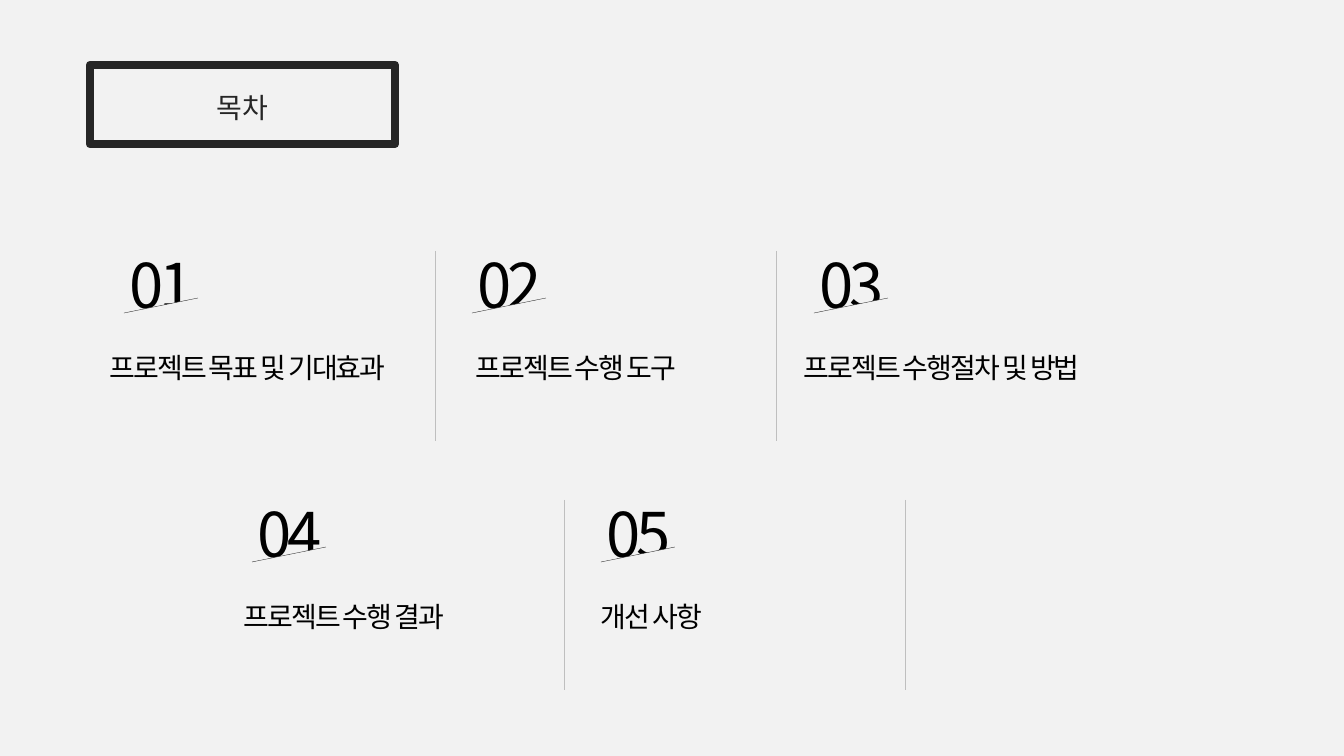
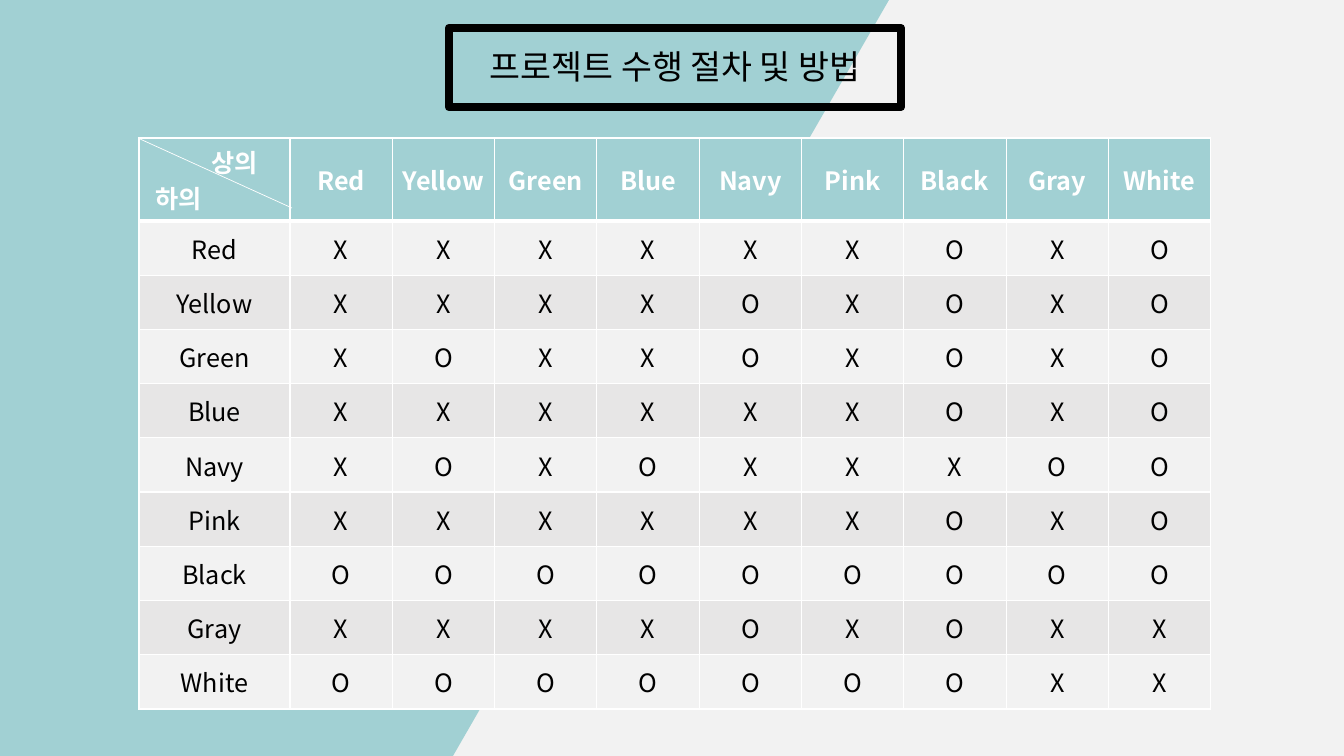
from lxml.etree import SubElement
from pptx import Presentation
from pptx.dml.color import RGBColor
from pptx.enum.shapes import MSO_CONNECTOR, MSO_SHAPE
from pptx.enum.text import MSO_ANCHOR, PP_ALIGN
from pptx.oxml.ns import qn
from pptx.util import Emu, Pt

EMU_PER_PX = 914400 / 100.8
WIDTH, HEIGHT = 1344, 756
FONT = "Noto Sans CJK KR"
PAPER, TEAL, BAND = "F2F2F2", "A1D0D3", "E7E6E6"
BLACK, CHARCOAL, SILVER, WHITE = "000000", "262626", "BFBFBF", "FFFFFF"

# Each row: top, items (left, number, label, label left, label width), dividers
CONTENTS = [
    (246, [(124, "01", "프로젝트 목표 및 기대효과", 100, 331),
           (472, "02", "프로젝트 수행 도구", 466, 245),
           (814, "03", "프로젝트 수행절차 및 방법", 794, 331)], (435, 776)),
    (495, [(252, "04", "프로젝트 수행 결과", 234, 245),
           (601, "05", "개선 사항", 591, 140)], (564, 905)),
]

MATCHES = {
    "Red": "XXXXXXOXO",
    "Yellow": "XXXXOXOXO",
    "Green": "XOXXOXOXO",
    "Blue": "XXXXXXOXO",
    "Navy": "XOXOXXXOO",
    "Pink": "XXXXXXOXO",
    "Black": "OOOOOOOOO",
    "Gray": "XXXXOXOXX",
    "White": "OOOOOOOXX",
}


def px(value):
    return Emu(round(value * EMU_PER_PX))


def rgb(color):
    return RGBColor.from_string(color)


def paint(target, color):
    target.fill.solid()
    target.fill.fore_color.rgb = rgb(color)


def write(paragraph, text, size=18, color=BLACK, bold=False,
          align=PP_ALIGN.LEFT, tracking=0, line_spacing=None, indent=0):
    """Add a run; tracking is in points, indent in px."""
    paragraph.alignment = align
    if line_spacing:
        paragraph.line_spacing = line_spacing
    if indent:
        paragraph._p.get_or_add_pPr().set("marL", str(px(indent)))
    run = paragraph.add_run()
    run.text = text
    run.font.size = Pt(size)
    run.font.bold = bold
    run.font.name = FONT
    run.font.color.rgb = rgb(color)
    properties = run._r.get_or_add_rPr()
    SubElement(properties, qn("a:ea")).set("typeface", FONT)
    if tracking:
        properties.set("spc", str(round(tracking * 100)))


def add_text(slide, left, top, width, height, text, fill=None, **text_format):
    box = slide.shapes.add_textbox(px(left), px(top), px(width), px(height))
    if fill:
        paint(box, fill)
    frame = box.text_frame
    frame.word_wrap = True
    frame.vertical_anchor = MSO_ANCHOR.MIDDLE
    frame.margin_top = frame.margin_bottom = 0
    write(frame.paragraphs[0], text, **text_format)


def add_shape(slide, kind, left, top, width, height, fill=None, line=None, weight=1):
    shape = slide.shapes.add_shape(kind, px(left), px(top), px(width), px(height))
    shape.shadow.inherit = False
    if fill:
        paint(shape, fill)
    else:
        shape.fill.background()
    if line:
        shape.line.color.rgb = rgb(line)
        shape.line.width = Pt(weight)
    else:
        shape.line.fill.background()
    return shape


def add_line(slide, x1, y1, x2, y2, color, weight=0.25):
    connector = slide.shapes.add_connector(
        MSO_CONNECTOR.STRAIGHT, px(x1), px(y1), px(x2), px(y2))
    connector.line.color.rgb = rgb(color)
    connector.line.width = Pt(weight)
    SubElement(connector._element.spPr, qn("a:effectLst"))


def add_slide(presentation):
    slide = presentation.slides.add_slide(presentation.slide_layouts[6])
    paint(slide.background, PAPER)
    return slide


def framed_title(slide, left, top, width, text, text_top, text_height, size, color):
    add_shape(slide, MSO_SHAPE.RECTANGLE, left, top, width, 79, line=color, weight=6)
    add_text(slide, left, top + text_top, width, text_height, text,
             size=size, color=color, align=PP_ALIGN.CENTER)


def contents_item(slide, left, top, number, label, label_left, label_width):
    """Number with its foot cut off along a slanted line, above a label."""
    add_text(slide, left - 6, top, 88, 85, number, fill=PAPER, size=44,
             align=PP_ALIGN.CENTER, tracking=-3, line_spacing=0.9)
    cut_top, cut_width, cut_height = top + 52, 74, 15
    wedge = add_shape(slide, MSO_SHAPE.ISOSCELES_TRIANGLE, left, cut_top,
                      cut_width, cut_height, fill=PAPER)
    wedge.adjustments[0] = 1
    add_line(slide, left, cut_top + cut_height, left + cut_width, cut_top, CHARCOAL)
    add_text(slide, label_left, top + 101, label_width, 44, label, size=20,
             tracking=-1.5, line_spacing=0.9)


def contents_slide(presentation):
    slide = add_slide(presentation)
    framed_title(slide, 90, 65, 305, "목차", 24, 36, 20, CHARCOAL)
    for top, items, dividers in CONTENTS:
        for left, *item in items:
            contents_item(slide, left, top, *item)
        for x in dividers:
            add_line(slide, x, top + 5, x, top + 195, SILVER)


def slanted_panel(slide, top_right, bottom_right):
    builder = slide.shapes.build_freeform(0, 0, scale=EMU_PER_PX)
    builder.add_line_segments([(top_right, 0), (bottom_right, HEIGHT), (0, HEIGHT)])
    panel = builder.convert_to_shape()
    panel.shadow.inherit = False
    paint(panel, TEAL)
    panel.line.fill.background()


def style_cell(cell, fill, bottom=1):
    """Give the cell white borders and a fill; bottom is in points."""
    properties = cell._tc.get_or_add_tcPr()
    for side, weight in (("L", 1), ("R", 1), ("T", 1), ("B", bottom)):
        border = SubElement(properties, qn(f"a:ln{side}"), w=str(Pt(weight)))
        solid = SubElement(border, qn("a:solidFill"))
        SubElement(solid, qn("a:srgbClr"), val=WHITE)
    paint(cell, fill)


def match_table(slide, left, top, width, height):
    names = list(MATCHES)
    count = len(names)
    first_width, header_height = 151, 83
    table = slide.shapes.add_table(
        count + 1, count + 1, px(left), px(top), px(width), px(height)).table
    table.first_row = table.horz_banding = False
    for index in range(count + 1):
        table.columns[index].width = px((width - first_width) / count if index else first_width)
        table.rows[index].height = px((height - header_height) / count if index else header_height)

    header = {"color": WHITE, "bold": True}
    corner = table.cell(0, 0)
    style_cell(corner, TEAL, bottom=3)
    write(corner.text_frame.paragraphs[0], "상의", indent=62, **header)
    write(corner.text_frame.add_paragraph(), "하의", indent=6, **header)

    rows = [["", *names]] + [[name, *marks] for name, marks in MATCHES.items()]
    for row, values in enumerate(rows):
        for column, value in enumerate(values):
            if row == column == 0:
                continue
            cell = table.cell(row, column)
            cell.vertical_anchor = MSO_ANCHOR.MIDDLE
            if row == 0:
                style_cell(cell, TEAL, bottom=3)
            else:
                style_cell(cell, PAPER if row % 2 else BAND)
            write(cell.text_frame.paragraphs[0], value, align=PP_ALIGN.CENTER,
                  **({} if row else header))
    add_line(slide, left + 1, top + 1, left + first_width + 2, top + 70, WHITE, 0.5)


def match_slide(presentation):
    slide = add_slide(presentation)
    slanted_panel(slide, 889, 453)
    match_table(slide, 139, 138, 1072, 571)
    framed_title(slide, 449, 28, 452, "프로젝트 수행 절차 및 방법", 13, 50, 24, BLACK)


def main():
    presentation = Presentation()
    presentation.slide_width, presentation.slide_height = px(WIDTH), px(HEIGHT)
    contents_slide(presentation)
    match_slide(presentation)
    presentation.save("out.pptx")


if __name__ == "__main__":
    main()
